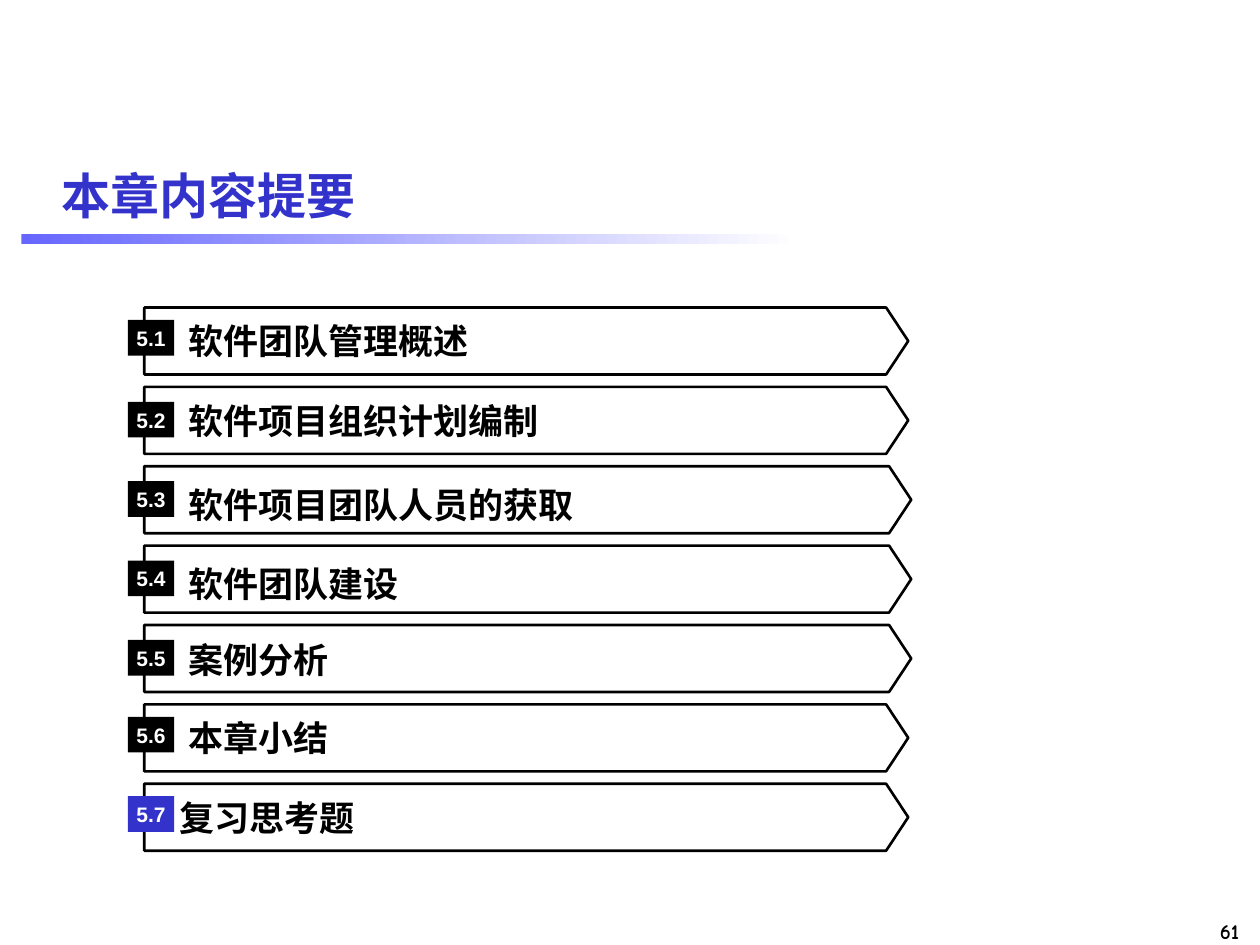
import dataclasses

import pptx
import pptx.dml.color
import pptx.enum.shapes
import pptx.enum.text
import pptx.util

Cm = pptx.util.Cm
SHAPES = pptx.enum.shapes.MSO_SHAPE
ALIGN = pptx.enum.text.PP_ALIGN
ANCHOR = pptx.enum.text.MSO_ANCHOR


@dataclasses.dataclass(frozen=True)
class Theme:
    black: str = "000000"
    white: str = "FFFFFF"
    accent: str = "3333CC"
    bar: str = "6666FF"
    title_size: int = 28
    item_size: int = 20
    small_size: int = 12
    sans: str = "Arial"
    serif: str = "Times New Roman"
    number_font: str = "Comic Neue"


@dataclasses.dataclass(frozen=True)
class Item:
    number: str
    label: str
    arrow_width: float = 15.4
    label_middle: float = 0.67
    badge_top: float = 0.3
    label_left: float = 1.22
    badge_color: str = Theme.black


THEME = Theme()
ITEMS = [
    Item("5.1", "软件团队管理概述", badge_top=0.25),
    Item("5.2", "软件项目组织计划编制"),
    Item("5.3", "软件项目团队人员的获取", 15.46, 0.77),
    Item("5.4", "软件团队建设", 15.46, 0.77),
    Item("5.5", "案例分析", 15.46, 0.7),
    Item("5.6", "本章小结", badge_top=0.25),
    Item("5.7", "复习思考题", badge_top=0.25, label_left=1.04, badge_color=THEME.accent),
]
ROW_HEIGHT = 1.35
ROW_PITCH = 1.6


def rgb(color):
    return pptx.dml.color.RGBColor.from_string(color)


def write(box, text, font, size, color, align=ALIGN.LEFT, margin=0):
    frame = box.text_frame
    frame.text = text
    frame.word_wrap = True
    frame.vertical_anchor = ANCHOR.MIDDLE
    frame.margin_left = frame.margin_right = Cm(margin)
    frame.margin_top = frame.margin_bottom = 0
    para = frame.paragraphs[0]
    para.alignment = align
    span = para.runs[0]
    span.font.name = font
    span.font.size = pptx.util.Pt(size)
    span.font.bold = True
    span.font.color.rgb = rgb(color)


def add_plain_shape(page, kind, left, top, width, height):
    shape = page.shapes.add_shape(kind, Cm(left), Cm(top), Cm(width), Cm(height))
    shape.shadow.inherit = False
    shape.line.fill.background()
    return shape


def add_text(page, left, top, width, height):
    return page.shapes.add_textbox(Cm(left), Cm(top), Cm(width), Cm(height))


def add_header(page, left, top, width):
    bar = add_plain_shape(page, SHAPES.RECTANGLE, left, top + 1.8, 15.67, 0.2)
    bar.fill.gradient()
    bar.fill.gradient_angle = 0
    for stop, color in zip(bar.fill.gradient_stops, (THEME.bar, THEME.white)):
        stop.color.rgb = rgb(color)
    title = add_text(page, left + 0.56, top, width - 0.56, 2)
    write(title, "本章内容提要", THEME.sans, THEME.title_size, THEME.accent, margin=0.25)


def add_row(page, item, left, top):
    arrow = add_plain_shape(
        page, SHAPES.PENTAGON, left + 0.33, top, item.arrow_width, ROW_HEIGHT)
    arrow.adjustments[0] = 0.33
    arrow.fill.background()
    arrow.line.color.rgb = rgb(THEME.black)
    arrow.line.width = pptx.util.Pt(1.5)

    label = add_text(page, left + item.label_left, top + item.label_middle - 0.5, 13.5, 1)
    write(label, item.label, THEME.serif, THEME.item_size, THEME.black)

    badge = add_plain_shape(page, SHAPES.RECTANGLE, left, top + item.badge_top, 0.93, 0.72)
    badge.fill.solid()
    badge.fill.fore_color.rgb = rgb(item.badge_color)
    write(badge, item.number, THEME.sans, THEME.small_size, THEME.white, ALIGN.CENTER)


def add_contents(page, left, top):
    for index, item in enumerate(ITEMS):
        add_row(page, item, left, top + index * ROW_PITCH)


def add_page_number(page, left, top, width, height):
    box = add_text(page, left, top, width, height)
    write(box, "61", THEME.number_font, THEME.small_size, THEME.black, ALIGN.RIGHT, 0.25)


def main():
    deck = pptx.Presentation()
    deck.slide_width = Cm(25.4)
    deck.slide_height = Cm(19.05)
    page = deck.slides.add_slide(deck.slide_layouts[6])
    add_page_number(page, 22.89, 18.39, 2.34, 0.76)
    add_header(page, 0.43, 2.92, 24.97)
    add_contents(page, 2.58, 6.2)
    deck.save("out.pptx")


if __name__ == "__main__":
    main()
